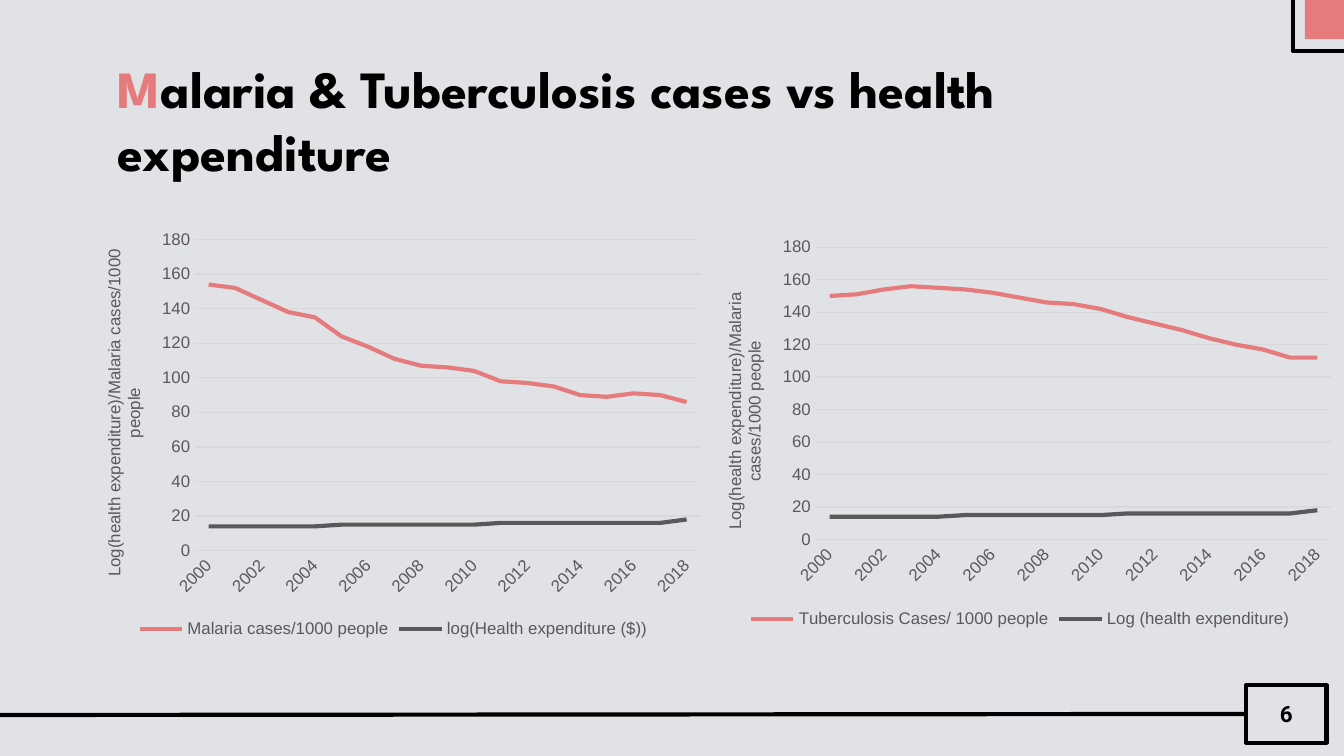
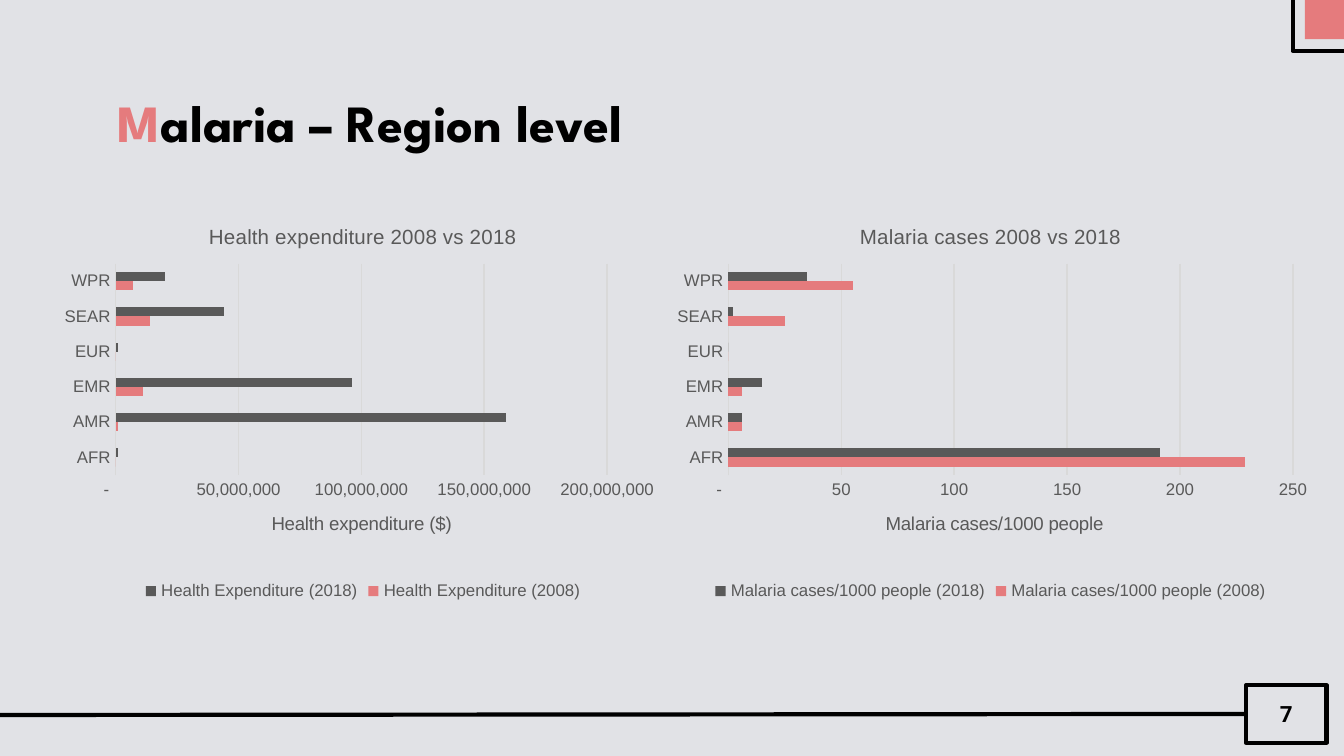
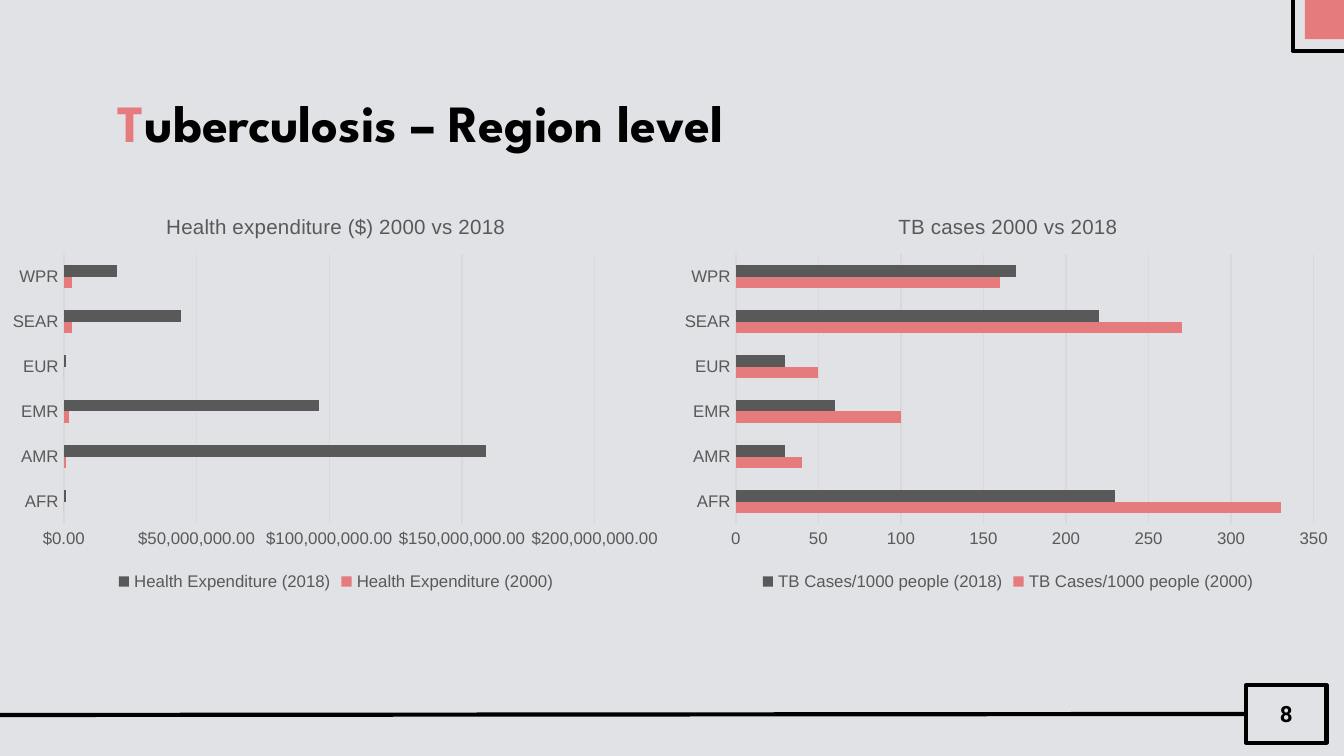
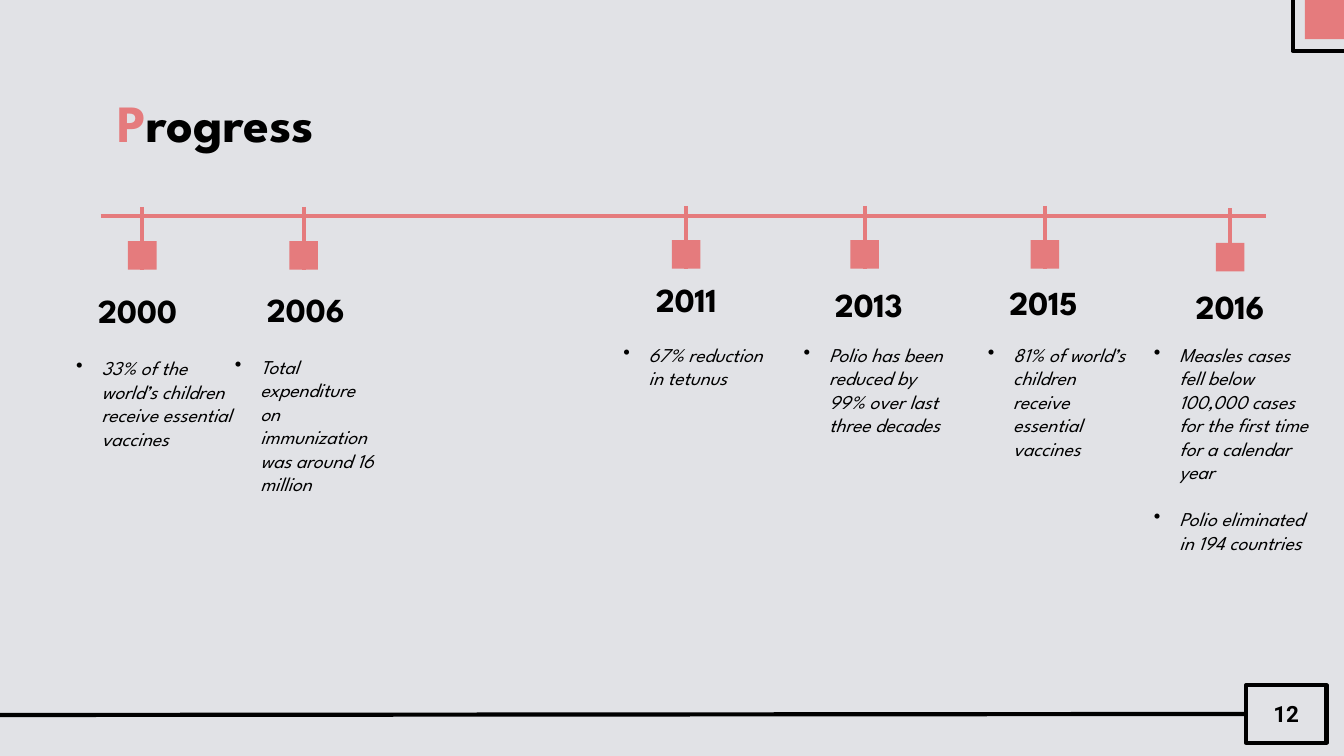
"""Build four slides on disease cases, health spending and progress."""
import dataclasses

import lxml.etree
import pptx
import pptx.chart.data
import pptx.dml.color
import pptx.enum.chart
import pptx.enum.shapes
import pptx.enum.text
import pptx.oxml.ns
import pptx.util

Cm, Pt = pptx.util.Cm, pptx.util.Pt
RGB = pptx.dml.color.RGBColor.from_string
qn = pptx.oxml.ns.qn
RECT = pptx.enum.shapes.MSO_SHAPE.RECTANGLE
KIND = pptx.enum.chart.XL_CHART_TYPE


@dataclasses.dataclass(frozen=True)
class Theme:
    """Hold the colours, fonts and sizes that the slides share."""
    back: str = "E1E2E6"
    ink: str = "000000"
    rose: str = "E57B7D"
    gray: str = "595959"
    grid: str = "D9D9D9"
    head: str = "League Spartan"
    page: str = "Roboto"
    plot: str = "Arial"
    title: float = 28
    year: float = 18
    num: float = 12
    note: float = 10.5
    name: float = 11
    base: float = 10
    tick: float = 9
    line: float = 2.25
    thin: float = 0.75


T = Theme()
COUNT = '_(* #,##0_);_(* \\(#,##0\\);_(* "-"??_);_(@_)'
MONEY = '"$"#,##0.00'
YEARS = [str(year) for year in range(2000, 2019)]
AREAS = ["AFR", "AMR", "EMR", "EUR", "SEAR", "WPR"]
SPEND = [14] * 5 + [15] * 6 + [16] * 7 + [18]
SPEND18 = [1000000, 159000000, 96000000, 1000000, 44000000, 20000000]
RATIO = "Log(health expenditure)/Malaria cases/1000 people"

TRENDS = [
    dict(box=(1.4, 4.17, 12.07, 8), area=(0.19, 0.045, 0.79, 0.735),
         rows=[("Malaria cases/1000 people",
                [154, 152, 145, 138, 135, 124, 118, 111, 107, 106, 104, 98,
                 97, 95, 90, 89, 91, 90, 86]),
               ("log(Health expenditure ($))", SPEND)]),
    dict(box=(13.16, 4.37, 12.24, 7.62), area=(0.185, 0.04, 0.795, 0.725),
         rows=[("Tuberculosis Cases/ 1000 people",
                [150, 151, 154, 156, 155, 154, 152, 149, 146, 145, 142, 137,
                 133, 129, 124, 120, 117, 112, 112]),
               ("Log (health expenditure)", SPEND)]),
]
MALARIA = [
    dict(box=(1.02, 3.84, 11.68, 7.62), area=(0.1, 0.15, 0.795, 0.525),
         title="Health expenditure 2008 vs 2018", unit="Health expenditure ($)",
         form=COUNT,
         rows=[("Health Expenditure (2008)",
                [0, 1000000, 11000000, 0, 14000000, 7000000]),
               ("Health Expenditure (2018)", SPEND18)]),
    dict(box=(12.37, 3.84, 12.7, 7.62), area=(0.11, 0.15, 0.84, 0.525),
         title="Malaria cases 2008 vs 2018", unit="Malaria cases/1000 people",
         form=COUNT,
         rows=[("Malaria cases/1000 people (2008)", [229, 6, 6, 0, 25, 55]),
               ("Malaria cases/1000 people (2018)", [191, 6, 15, 0, 2, 35])]),
]
TUBER = [
    dict(box=(12.7, 3.66, 12.7, 7.62), area=(0.095, 0.15, 0.86, 0.67),
         title="TB cases 2000 vs 2018",
         rows=[("TB Cases/1000 people (2000)", [330, 40, 100, 50, 270, 160]),
               ("TB Cases/1000 people (2018)", [230, 30, 60, 30, 220, 170])]),
    dict(box=(0, 3.66, 12.7, 7.62), area=(0.095, 0.15, 0.79, 0.67),
         title="Health expenditure ($) 2000 vs 2018", form=MONEY,
         rows=[("Health Expenditure (2000)",
                [0, 1000000, 2000000, 0, 3000000, 3000000]),
               ("Health Expenditure (2018)", SPEND18)]),
]
EVENTS = [
    dict(box=(1.19, 3.91, 3.48, 6.53), mark=1.5, mid=1.41, drop=1.53,
         gap=2.69, year="2000",
         notes=["33% of the world’s children receive essential vaccines"]),
    dict(box=(4.19, 3.91, 3.2, 6.07), mark=1.55, mid=1.59, drop=1.5,
         gap=2.67, year="2006",
         notes=["Total expenditure on immunization was around 16 million"]),
    dict(box=(11.53, 3.89, 3.2, 4.06), mark=1.44, mid=1.44, drop=1.34,
         gap=2.46, year="2011", notes=["67% reduction in tetunus"]),
    dict(box=(14.94, 3.89, 3.2, 5.41), mark=1.4, mid=1.48, drop=1.42,
         gap=2.46, year="2013",
         notes=["Polio has been reduced by 99% over last three decades"]),
    dict(box=(18.42, 3.89, 3.2, 5.41), mark=1.33, mid=1.3, drop=1.39,
         gap=2.46, year="2015",
         notes=["81% of world’s children receive essential vaccines"]),
    dict(box=(21.56, 3.94, 3.48, 7.16), mark=1.69, mid=1.69, drop=1.42,
         gap=2.41, year="2016",
         notes=["Measles cases fell below 100,000 cases for the first time "
                "for a calendar year", "Polio eliminated in 194 countries"]),
]


def style(font, size, face, color=T.ink, bold=False, slant=False):
    """Set size, face, colour and weight of a font."""
    font.size, font.name = Pt(size), face
    font.bold, font.italic = bold, slant
    font.color.rgb = RGB(color)


def bullet(para):
    """Give a paragraph a hanging black dot."""
    props = para._p.get_or_add_pPr()
    props.set("marL", str(Cm(0.48)))
    props.set("indent", str(-Cm(0.48)))
    tint = lxml.etree.SubElement(props, qn("a:buClr"))
    lxml.etree.SubElement(tint, qn("a:srgbClr")).set("val", T.ink)
    lxml.etree.SubElement(props, qn("a:buChar")).set("char", "•")


def write(frame, paras, align="LEFT", anchor="MIDDLE", pad=0.25, dots=False,
          space=0, lead=None, **form):
    """Fill a text frame, with the first letter in the lead colour if given."""
    frame.word_wrap = True
    frame.vertical_anchor = getattr(pptx.enum.text.MSO_ANCHOR, anchor)
    frame.margin_left = frame.margin_right = Cm(0.25)
    frame.margin_top = frame.margin_bottom = Cm(pad)
    for index, words in enumerate(paras):
        para = frame.add_paragraph() if index else frame.paragraphs[0]
        para.alignment = getattr(pptx.enum.text.PP_ALIGN, align)
        if index:
            para.space_before = Pt(space)
        if dots:
            bullet(para)
        parts = [(words, T.ink)]
        if lead:
            parts = [(words[0], lead), (words[1:], T.ink)]
        for part, color in parts:
            run = para.add_run()
            run.text = part
            style(run.font, color=color, **form)


def label(slide, box, paras, **form):
    """Add a text box and return its frame."""
    frame = slide.shapes.add_textbox(*map(Cm, box)).text_frame
    write(frame, paras, **form)
    return frame


def rect(shapes, box, fill=None, line=None):
    """Add a plain rectangle."""
    shape = shapes.add_shape(RECT, *map(Cm, box))
    shape.shadow.inherit = False
    if fill:
        shape.fill.solid()
        shape.fill.fore_color.rgb = RGB(fill)
    else:
        shape.fill.background()
    if line:
        shape.line.color.rgb = RGB(line)
        shape.line.width = Pt(T.line)
    else:
        shape.line.fill.background()
    return shape


def rule(shapes, ends, color):
    """Add a straight line without shadow."""
    kind = pptx.enum.shapes.MSO_CONNECTOR.STRAIGHT
    line = shapes.add_connector(kind, *map(Cm, ends))
    line.line.color.rgb = RGB(color)
    line.line.width = Pt(T.line)
    lxml.etree.SubElement(line._element.spPr, qn("a:effectLst"))
    return line


def corner(slide, box):
    """Draw the open square and the filled block at the top right."""
    x, y, w, h = box
    rect(slide.shapes, box, line=T.ink)
    rect(slide.shapes, (x + 0.23, y + 0.56, w / 2 - 0.02, h / 2 - 0.02),
         fill=T.rose)


def footer(slide, box, page):
    """Draw the page number in its box and the line that leads to it."""
    middle = box[1] + box[3] / 2
    line = rule(slide.shapes, (-0.2, middle + 0.02, box[0], middle), T.ink)
    frame = rect(slide.shapes, box, line=T.ink)
    line.end_connect(frame, 1)
    write(frame.text_frame, [str(page)], align="CENTER", size=T.num,
          face=T.page, bold=True)


def start(deck, title, page, top=1.5):
    """Add a slide with its title, corner and footer."""
    slide = deck.slides.add_slide(deck.slide_layouts[6])
    corner(slide, (24.43, -0.56, 1.52, 1.52))
    label(slide, (1.98, top, 21.44, 1.6), [title], size=T.title, face=T.head,
          bold=True, lead=T.rose)
    footer(slide, (23.55, 12.95, 1.52, 1.09), page)
    return slide


def caption(owner, words, size):
    """Set the title of a chart or an axis."""
    frame = owner.text_frame
    frame.text = words
    style(frame.paragraphs[0].runs[0].font, size, T.plot, T.gray)


def place(chart, area):
    """Set the inner plot area as shares of the chart."""
    plot = chart._chartSpace.chart.plotArea
    for old in plot.findall(qn("c:layout")):
        plot.remove(old)
    layout = lxml.etree.Element(qn("c:layout"))
    manual = lxml.etree.SubElement(layout, qn("c:manualLayout"))
    pairs = [("layoutTarget", "inner"), ("xMode", "edge"), ("yMode", "edge")]
    for tag, value in pairs + list(zip("xywh", area)):
        lxml.etree.SubElement(manual, qn("c:" + tag)).set("val", str(value))
    plot.insert(0, layout)


def axes(chart, form):
    """Style both axes and the grid."""
    none = pptx.enum.chart.XL_TICK_MARK.NONE
    for axis in (chart.category_axis, chart.value_axis):
        axis.major_tick_mark = axis.minor_tick_mark = none
        style(axis.tick_labels.font, T.tick, T.plot, T.gray)
    cat, val = chart.category_axis, chart.value_axis
    cat.has_major_gridlines, val.has_major_gridlines = False, True
    val.format.line.fill.background()
    for line in (cat.format.line, val.major_gridlines.format.line):
        line.color.rgb = RGB(T.grid)
        line.width = Pt(T.thin)
    val.tick_labels.number_format = form
    val.tick_labels.number_format_is_linked = False


def graph(slide, kind, cats, box, area, rows, title=None, unit=None,
          size=T.base, form="General"):
    """Add a chart with its legend, axes and titles."""
    data = pptx.chart.data.CategoryChartData(number_format=form)
    data.categories = cats
    for name, values in rows:
        data.add_series(name, values)
    chart = slide.shapes.add_chart(kind, *map(Cm, box), data).chart
    style(chart.font, T.base, T.plot)
    place(chart, area)
    axes(chart, form)
    chart.has_title = bool(title)
    if title:
        caption(chart.chart_title, title, T.name)
    if unit:
        caption(chart.value_axis.axis_title, unit, size)
    chart.has_legend = True
    chart.legend.position = pptx.enum.chart.XL_LEGEND_POSITION.BOTTOM
    chart.legend.include_in_layout = False
    style(chart.legend.font, T.tick, T.plot, T.gray)
    chart.plots[0].vary_by_categories = False
    return chart


def trend(slide, **parts):
    """Add a line chart over the years."""
    chart = graph(slide, KIND.LINE, YEARS, unit=RATIO, size=T.tick, **parts)
    body = chart.category_axis._element.find(qn("c:txPr")).find(qn("a:bodyPr"))
    body.set("rot", "-2700000")
    for row, color in zip(chart.plots[0].series, (T.rose, T.gray)):
        row.smooth = False
        row.format.line.color.rgb = RGB(color)
        row.format.line.width = Pt(T.line)


def bars(slide, **parts):
    """Add a bar chart over the regions."""
    chart = graph(slide, KIND.BAR_CLUSTERED, AREAS, **parts)
    chart.plots[0].gap_width = 182
    for row, color in zip(chart.plots[0].series, (T.rose, T.gray)):
        row.format.fill.solid()
        row.format.fill.fore_color.rgb = RGB(color)


def event(slide, box, mark, mid, drop, gap, year, notes):
    """Add one column of the timeline: marker, year and notes."""
    x, y, w, h = box
    group = slide.shapes.add_group_shape().shapes
    stem = rule(group, (x + mark, y, x + mark, y + 1.19), T.rose)
    block = rect(group, (x + mark - 0.27, y + 0.65, 0.54, 0.54), fill=T.rose)
    stem.end_connect(block, 2)
    label(slide, (x + mid - 2.78, y + drop, 5.56, 0.86), [year],
          align="CENTER", size=T.year, face=T.head, bold=True)
    frame = label(slide, (x, y + gap, w, h - gap), notes, anchor="TOP",
                  pad=0.13, dots=True, space=12.6, size=T.note, face=T.head,
                  slant=True)
    frame.auto_size = pptx.enum.text.MSO_AUTO_SIZE.SHAPE_TO_FIT_TEXT


def main():
    """Build the deck and save it."""
    deck = pptx.Presentation()
    deck.slide_width, deck.slide_height = Cm(25.4), Cm(14.29)
    back = deck.slide_master.background.fill
    back.solid()
    back.fore_color.rgb = RGB(T.back)

    slide = start(deck, "Malaria & Tuberculosis cases vs health expenditure",
                  6, top=1.45)
    for parts in TRENDS:
        trend(slide, **parts)
    for title, page, charts in (("Malaria – Region level", 7, MALARIA),
                                ("Tuberculosis – Region level", 8, TUBER)):
        slide = start(deck, title, page)
        for parts in charts:
            bars(slide, **parts)
    slide = start(deck, "Progress", 12)
    rule(slide.shapes, (1.9, 4.09, 23.93, 4.09), T.rose)
    for parts in EVENTS:
        event(slide, **parts)
    deck.save("out.pptx")


if __name__ == "__main__":
    main()
